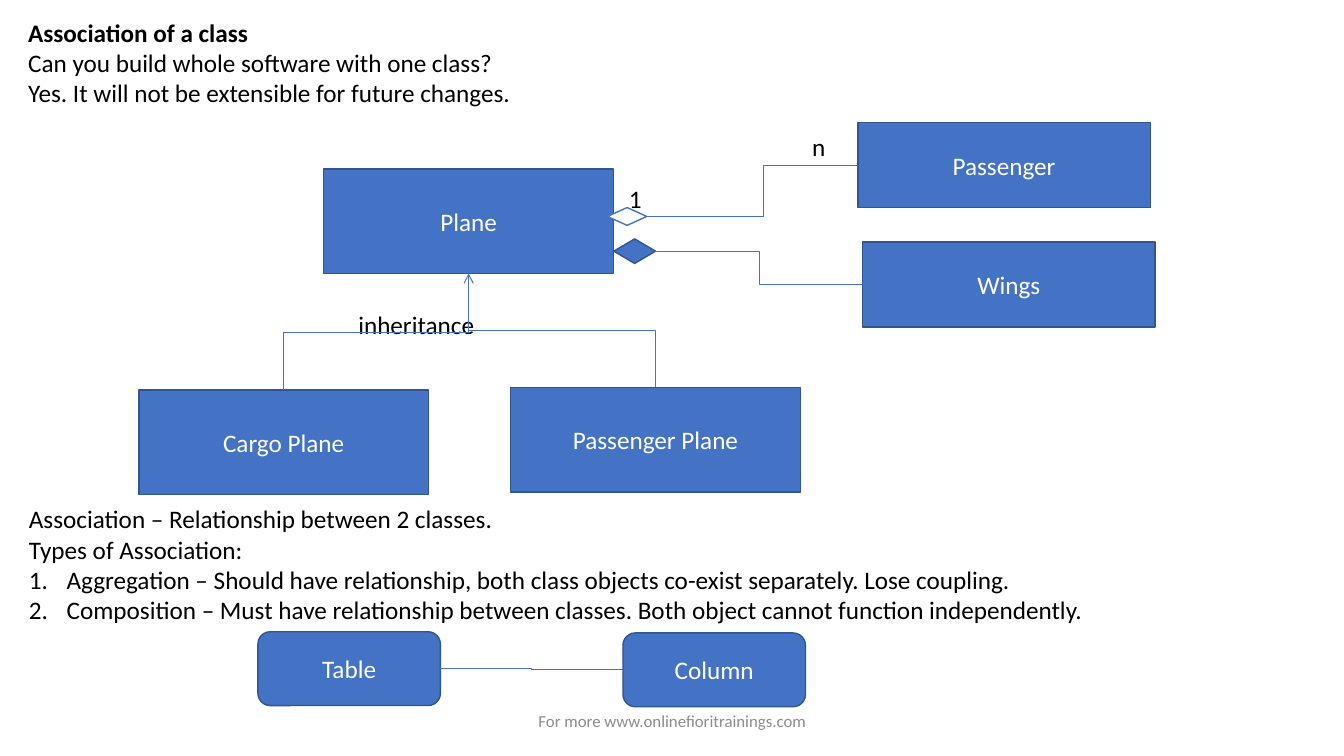
import pptx
import pptx.util
import pptx.dml.color
import pptx.enum.shapes
import pptx.enum.text
import pptx.oxml
import pptx.oxml.ns
from lxml import etree

Cm = pptx.util.Cm
Pt = pptx.util.Pt
RGBColor = pptx.dml.color.RGBColor
SHAPE = pptx.enum.shapes.MSO_SHAPE
ALIGN = pptx.enum.text.PP_ALIGN
ANCHOR = pptx.enum.text.MSO_ANCHOR
qn = pptx.oxml.ns.qn

BLUE = RGBColor(0x44, 0x72, 0xC4)
EDGE = RGBColor(0x32, 0x54, 0x91)
WHITE = RGBColor(0xFF, 0xFF, 0xFF)
BLACK = RGBColor(0, 0, 0)
GREY = RGBColor(0x8C, 0x8C, 0x8C)
TOP, LEFT, BOTTOM, RIGHT = range(4)


class Diagram:
    font = "Calibri"
    size = 18

    def __init__(self, s):
        self.s = s

    def run(self, p, text, color, size=None, bold=False):
        r = p.add_run()
        r.text = text
        r.font.name = self.font
        r.font.size = Pt(size or self.size)
        r.font.bold = bold
        r.font.color.rgb = color

    def text(self, x, y, w, h, lines, color=BLACK, size=None, bold=(), numbered=(),
             align=ALIGN.LEFT, anchor=ANCHOR.TOP):
        tf = self.s.shapes.add_textbox(Cm(x), Cm(y), Cm(w), Cm(h)).text_frame
        tf.word_wrap = True
        tf.vertical_anchor = anchor
        for i, line in enumerate(lines):
            p = tf.paragraphs[0] if i == 0 else tf.add_paragraph()
            p.alignment = align
            if i in numbered:
                pPr = p._p.get_or_add_pPr()
                pPr.set("marL", str(Cm(0.95)))
                pPr.set("indent", str(-Cm(0.95)))
                etree.SubElement(pPr, qn("a:buAutoNum"), type="arabicPeriod")
            self.run(p, line, color, size, i in bold)

    def shape(self, kind, x, y, w, h, label="", fill=BLUE, line=EDGE):
        sp = self.s.shapes.add_shape(kind, Cm(x), Cm(y), Cm(w), Cm(h))
        sp.shadow.inherit = False
        sp.fill.solid()
        sp.fill.fore_color.rgb = fill
        sp.line.color.rgb = line
        sp.line.width = Pt(1)
        if label:
            tf = sp.text_frame
            tf.vertical_anchor = ANCHOR.MIDDLE
            p = tf.paragraphs[0]
            p.alignment = ALIGN.CENTER
            self.run(p, label, WHITE)
        return sp

    def elbow(self, start, start_side, end, end_side, bend=0.5):
        c = self.s.shapes.add_connector(pptx.enum.shapes.MSO_CONNECTOR.ELBOW, 0, 0, 0, 0)
        c.begin_connect(start, start_side)
        c.end_connect(end, end_side)
        c.line.color.rgb = BLUE
        c.line.width = Pt(0.5)
        spPr = c._element.spPr
        etree.SubElement(spPr, qn("a:effectLst"))
        if bend != 0.5:
            avLst = spPr.find(qn("a:prstGeom")).get_or_add_avLst()
            etree.SubElement(avLst, qn("a:gd"), name="adj1", fmla=f"val {round(bend * 100000)}")
        return c

    def inherit(self, child, parent):
        c = self.elbow(child, TOP, parent, BOTTOM)
        x1, y1, x2, y2 = c.begin_x, c.begin_y, c.end_x, c.end_y
        cx, cy = (x1 + x2) // 2, (y1 + y2) // 2
        half_rise, half_run = (y1 - y2) // 2, (x1 - x2) // 2
        c.begin_x, c.begin_y = cx - half_rise, cy + half_run
        c.end_x, c.end_y = cx + half_rise, cy - half_run
        c._element.spPr.find(qn("a:xfrm")).set("rot", str(270 * 60000))
        etree.SubElement(c.line._get_or_add_ln(), qn("a:tailEnd"), type="arrow")


def main():
    prs = pptx.Presentation()
    prs.slide_width, prs.slide_height = Cm(33.87), Cm(19.05)
    d = Diagram(prs.slides.add_slide(prs.slide_layouts[6]))

    d.text(11.23, 17.65, 11.43, 1.01, ["For more www.onlinefioritrainings.com"],
           GREY, 12, align=ALIGN.CENTER, anchor=ANCHOR.MIDDLE)
    d.text(0.46, 0.3, 32.74, 2.56, [
        "Association of a class",
        "Can you build whole software with one class?",
        "Yes. It will not be extensible for future changes.",
    ], bold=(0,))
    d.text(0.48, 12.57, 31.85, 3.33, [
        "Association – Relationship between 2 classes.",
        "Types of Association:",
        "Aggregation – Should have relationship, both class objects co-exist separately. "
        "Lose coupling.",
        "Composition – Must have relationship between classes. "
        "Both object cannot function independently.",
    ], numbered=(2, 3))

    plane, cargo, passenger_plane = [
        d.shape(SHAPE.RECTANGLE, x, y, 7.3, 2.64, label) for x, y, label in (
            (8.16, 4.26, "Plane"), (3.5, 9.83, "Cargo Plane"), (12.87, 9.76, "Passenger Plane"))]
    passenger, wings = [
        d.shape(SHAPE.RECTANGLE, x, y, 7.37, 2.14, label) for x, y, label in (
            (21.62, 3.09, "Passenger"), (21.74, 6.1, "Wings"))]
    table, column = [
        d.shape(SHAPE.ROUNDED_RECTANGLE, x, y, 4.6, 1.86, label) for x, y, label in (
            (6.5, 15.92, "Table"), (15.7, 15.95, "Column"))]

    for x, y, w, label in ((8.78, 7.67, 5.13, "inheritance"),
                           (15.6, 4.5, 1.2, "1"), (20.22, 3.18, 1.45, "n")):
        d.text(x, y, w, 1.02, [label])

    aggregation = d.shape(SHAPE.FLOWCHART_DECISION, 15.31, 5.23, 0.99, 0.45,
                          fill=WHITE, line=BLUE)
    composition = d.shape(SHAPE.FLOWCHART_DECISION, 15.47, 6.02, 1.05, 0.62)

    for child in (cargo, passenger_plane):
        d.inherit(child, plane)
    d.elbow(aggregation, RIGHT, passenger, LEFT, bend=0.55)
    d.elbow(composition, RIGHT, wings, LEFT)
    d.elbow(table, RIGHT, column, LEFT)

    prs.save("out.pptx")


if __name__ == "__main__":
    main()
